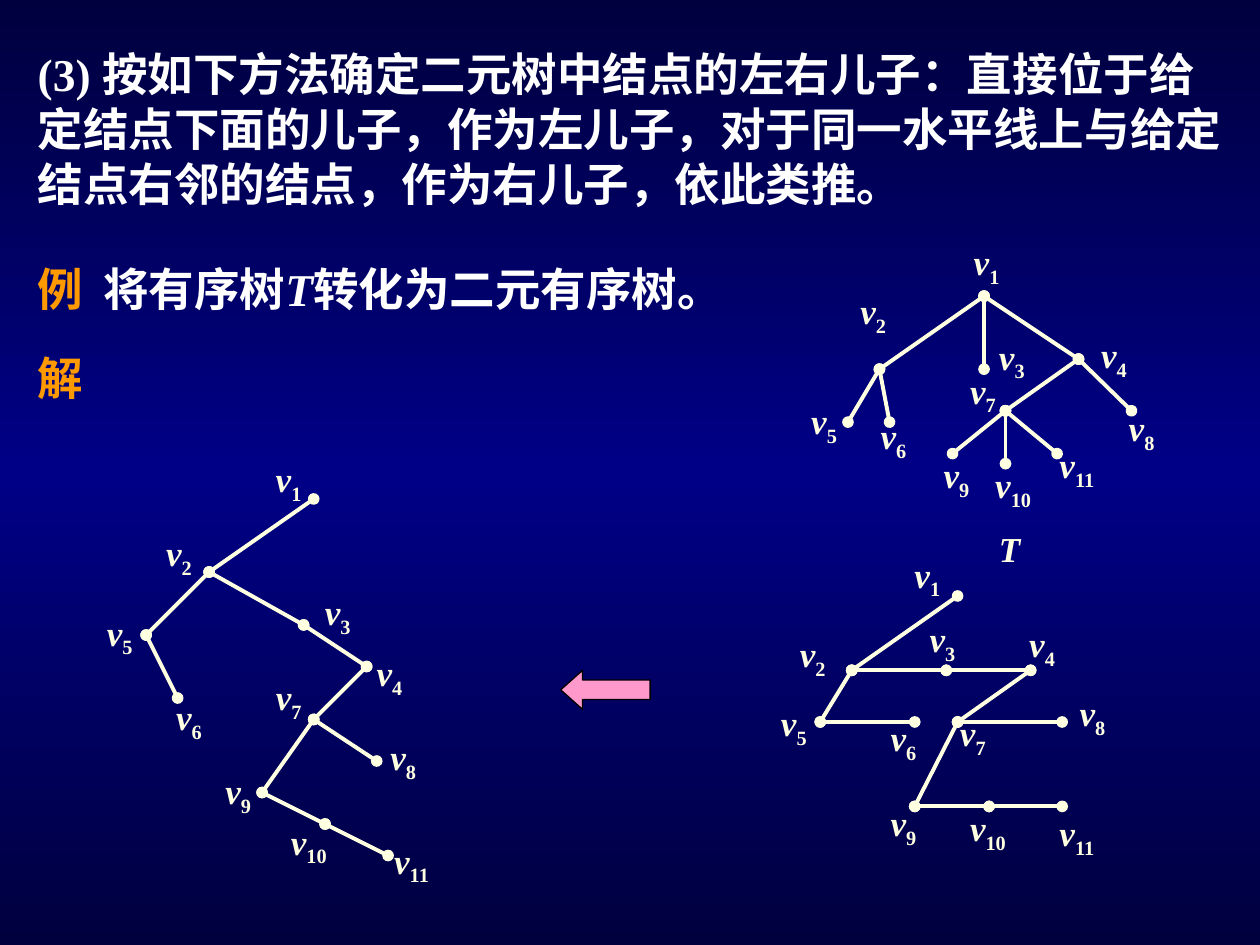
from copy import deepcopy

from lxml import etree
from pptx import Presentation
from pptx.dml.color import RGBColor
from pptx.enum.shapes import MSO_CONNECTOR as CONNECTOR, MSO_SHAPE as SHAPE
from pptx.enum.text import MSO_AUTO_SIZE as AUTO_SIZE
from pptx.oxml.ns import qn
from pptx.util import Inches, Pt

WHITE, CREAM, ORANGE = "FFFFFF", "FFFFE1", "FF9900"


def rgb(value):
    return RGBColor.from_string(value)


def add_text(shapes, left, top, width, height, size, runs):
    box = shapes.add_textbox(Inches(left), Inches(top), Inches(width), Inches(height))
    frame = box.text_frame
    frame.word_wrap = True
    frame.auto_size = AUTO_SIZE.SHAPE_TO_FIT_TEXT
    paragraph = frame.paragraphs[0]
    for text, color, italic in runs:
        run = paragraph.add_run()
        run.text = text
        run.font.name = "Times New Roman"
        run.font.size = Pt(size)
        run.font.bold = True
        run.font.italic = italic
        run.font.color.rgb = rgb(color)
    return paragraph


prs = Presentation()
prs.slide_width, prs.slide_height = Inches(10), Inches(7.5)
slide = prs.slides.add_slide(prs.slide_layouts[6])

backdrop = slide.background.fill
backdrop.gradient()
backdrop.gradient_angle = 270
stop_list = slide.element.find(".//" + qn("a:gsLst"))
stop_list.insert(1, deepcopy(stop_list[0]))
for stop, position, color in zip(backdrop.gradient_stops, (0, 0.5, 1), ("00003E", "000086", "00003E")):
    stop.position = position
    stop.color.rgb = rgb(color)

add_text(slide.shapes, 0.2, 0.32, 9.61, 1.4, 26, [(
    "(3) 按如下方法确定二元树中结点的左右儿子：直接位于给定结点下面的儿子，作为左儿子，"
    "对于同一水平线上与给定结点右邻的结点，作为右儿子，依此类推。", WHITE, False)])
example = add_text(slide.shapes, 0.2, 2.02, 6.14, 0.54, 26, [
    ("例\t", ORANGE, False), ("将有序树", WHITE, False),
    ("T", WHITE, True), ("转化为二元有序树。", WHITE, False)])
tabs = etree.SubElement(example._p.get_or_add_pPr(), qn("a:tabLst"))
etree.SubElement(tabs, qn("a:tab"), pos=str(Inches(0.52)), algn="l")
add_text(slide.shapes, 0.2, 2.73, 0.87, 0.54, 26, [("解", ORANGE, False)])

label_widths = {1: 0.44, 2: 0.48, 3: 0.59, 4: 0.77, 5: 0.47, 6: 0.47,
                7: 0.55, 8: 0.51, 9: 0.6, 10: 0.58, 11: 0.58}
binary_edges = [(1, 2), (2, 5), (2, 3), (3, 4), (5, 6), (4, 7), (7, 8), (7, 9), (9, 10), (10, 11)]

# node number: (node x, node y, label left, label top)
ordered_tree = {
    1: (7.81, 2.35, 7.63, 1.86), 2: (6.98, 2.93, 6.73, 2.25),
    3: (7.81, 2.93, 7.83, 2.61), 4: (8.56, 2.85, 8.64, 2.6),
    5: (6.73, 3.35, 6.34, 3.12), 6: (7.06, 3.35, 6.89, 3.24),
    7: (7.98, 3.26, 7.6, 2.88), 8: (8.98, 3.26, 8.86, 3.18),
    9: (7.56, 3.6, 7.39, 3.55), 10: (7.98, 3.68, 7.8, 3.63),
    11: (8.39, 3.6, 8.31, 3.47),
}
ordered_edges = [(1, 2), (1, 3), (1, 4), (2, 5), (2, 6), (4, 7), (4, 8), (7, 9), (7, 10), (7, 11)]
level_tree = {
    1: (7.6, 4.73, 7.16, 4.34), 2: (6.76, 5.32, 6.25, 4.97),
    3: (7.51, 5.32, 7.28, 4.85), 4: (8.18, 5.32, 8.07, 4.89),
    5: (6.51, 5.73, 6.1, 5.52), 6: (7.26, 5.73, 6.97, 5.64),
    7: (7.6, 5.73, 7.52, 5.6), 8: (8.43, 5.73, 8.47, 5.44),
    9: (7.26, 6.4, 6.97, 6.31), 10: (7.85, 6.4, 7.6, 6.35),
    11: (8.43, 6.4, 8.31, 6.39),
}
binary_tree = {
    1: (2.49, 3.96, 2.09, 3.58), 2: (1.66, 4.54, 1.22, 4.17),
    3: (2.41, 4.96, 2.48, 4.64), 4: (2.91, 5.29, 2.89, 5.12),
    5: (1.16, 5.04, 0.75, 4.8), 6: (1.41, 5.54, 1.3, 5.47),
    7: (2.49, 5.71, 2.09, 5.31), 8: (2.99, 6.04, 3, 5.79),
    9: (2.08, 6.29, 1.69, 6.06), 10: (2.58, 6.54, 2.21, 6.46),
    11: (3.08, 6.79, 3.03, 6.61),
}

for nodes, edges in ((ordered_tree, ordered_edges), (level_tree, binary_edges), (binary_tree, binary_edges)):
    tree = slide.shapes.add_group_shape().shapes
    for parent, child in edges:
        ends = [Inches(length) for length in nodes[parent][:2] + nodes[child][:2]]
        edge = tree.add_connector(CONNECTOR.STRAIGHT, *ends)
        edge.line.color.rgb = rgb(CREAM)
        edge.line.width = Pt(2.25)
        for end in ("a:headEnd", "a:tailEnd"):
            etree.SubElement(edge.line._get_or_add_ln(), qn(end), type="oval")
        etree.SubElement(edge._element.spPr, qn("a:effectLst"))
    for number, (_, _, left, top) in nodes.items():
        label = add_text(tree, left, top, label_widths[number], 0.48, 20,
                         [("v", CREAM, True), (str(number), CREAM, False)])
        label.runs[1].font._element.set("baseline", "-25000")
    if nodes is ordered_tree:
        add_text(tree, 7.83, 4.14, 0.55, 0.44, 20, [("T", CREAM, True)])

arrow = slide.shapes.add_shape(SHAPE.LEFT_ARROW, Inches(4.45), Inches(5.32), Inches(0.71), Inches(0.31))
arrow.shadow.inherit = False
arrow.adjustments[0] = 0.5
arrow.adjustments[1] = 0.56
arrow.fill.solid()
arrow.fill.fore_color.rgb = rgb("FF99CC")
arrow.line.color.rgb = rgb("000000")
arrow.line.width = Pt(0.75)

prs.save("out.pptx")
